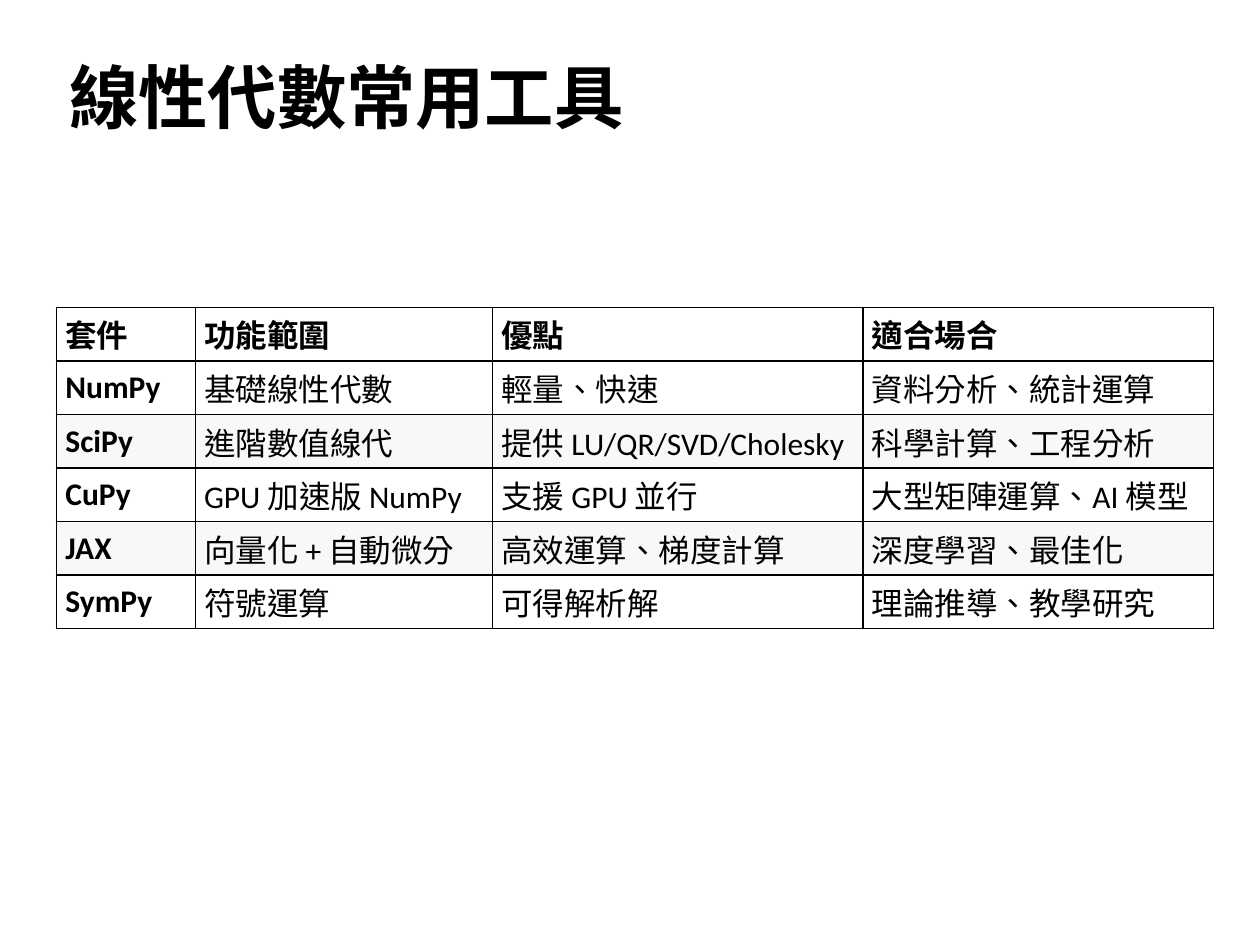
import pptx
import pptx.util
import pptx.dml.color
import pptx.enum.text
import pptx.oxml
import pptx.oxml.ns
from pptx.util import Inches

BLACK = pptx.dml.color.RGBColor(0x00, 0x00, 0x00)
WHITE = pptx.dml.color.RGBColor(0xFF, 0xFF, 0xFF)
STRIPE = pptx.dml.color.RGBColor(0xF6, 0xF8, 0xFA)
MIDDLE = pptx.enum.text.MSO_ANCHOR.MIDDLE


def add_run(paragraph, text, size, bold):
    run = paragraph.add_run()
    run.text = text
    run.font.name = "Calibri"
    run.font.size = pptx.util.Pt(size)
    run.font.bold = bold
    run.font.color.rgb = BLACK
    run._r.get_or_add_rPr().set("lang", "zh-TW")


def add_borders(cell):
    properties = cell._tc.get_or_add_tcPr()
    for position, side in enumerate(("lnL", "lnR", "lnT", "lnB")):
        properties.insert(position, pptx.oxml.parse_xml(
            f'<a:{side} {pptx.oxml.ns.nsdecls("a")} w="12700"><a:solidFill>'
            f'<a:srgbClr val="{BLACK}"/></a:solidFill></a:{side}>'))


presentation = pptx.Presentation()
presentation.slide_width = Inches(10)
presentation.slide_height = Inches(7.5)
slide = presentation.slides.add_slide(presentation.slide_layouts[6])

# Title
title = slide.shapes.add_textbox(Inches(0.45), Inches(0.44), Inches(8.62), Inches(0.72)).text_frame
title.word_wrap = True
title.vertical_anchor = MIDDLE
title.paragraphs[0].line_spacing = 0.9
add_run(title.paragraphs[0], "線性代數常用工具", 39.6, True)

# Comparison of packages
packages = [
    ("套件", "功能範圍", "優點", "適合場合"),
    ("NumPy", "基礎線性代數", "輕量、快速", "資料分析、統計運算"),
    ("SciPy", "進階數值線代", "提供 LU/QR/SVD/Cholesky", "科學計算、工程分析"),
    ("CuPy", "GPU 加速版 NumPy", "支援 GPU 並行", "大型矩陣運算、AI 模型"),
    ("JAX", "向量化 + 自動微分", "高效運算、梯度計算", "深度學習、最佳化"),
    ("SymPy", "符號運算", "可得解析解", "理論推導、教學研究"),
]
column_widths = [1.1, 2.36, 2.94, 2.78]
table_height = 2.55
comparison = slide.shapes.add_table(
    len(packages), len(column_widths), Inches(0.45), Inches(2.44),
    Inches(sum(column_widths)), Inches(table_height)).table
for column, width in zip(comparison.columns, column_widths):
    column.width = Inches(width)

for row_index, package in enumerate(packages):
    comparison.rows[row_index].height = Inches(table_height / len(packages))
    striped = row_index > 0 and row_index % 2 == 0
    for column_index, text in enumerate(package):
        cell = comparison.cell(row_index, column_index)
        cell.fill.solid()
        cell.fill.fore_color.rgb = STRIPE if striped else WHITE
        cell.vertical_anchor = MIDDLE
        cell.margin_left = Inches(0.07)
        cell.margin_right = Inches(0.03)  # keeps the longest entries on one line
        cell.margin_top = cell.margin_bottom = Inches(0.03)
        add_borders(cell)
        add_run(cell.text_frame.paragraphs[0], text, 18, row_index == 0 or column_index == 0)

presentation.save("out.pptx")
